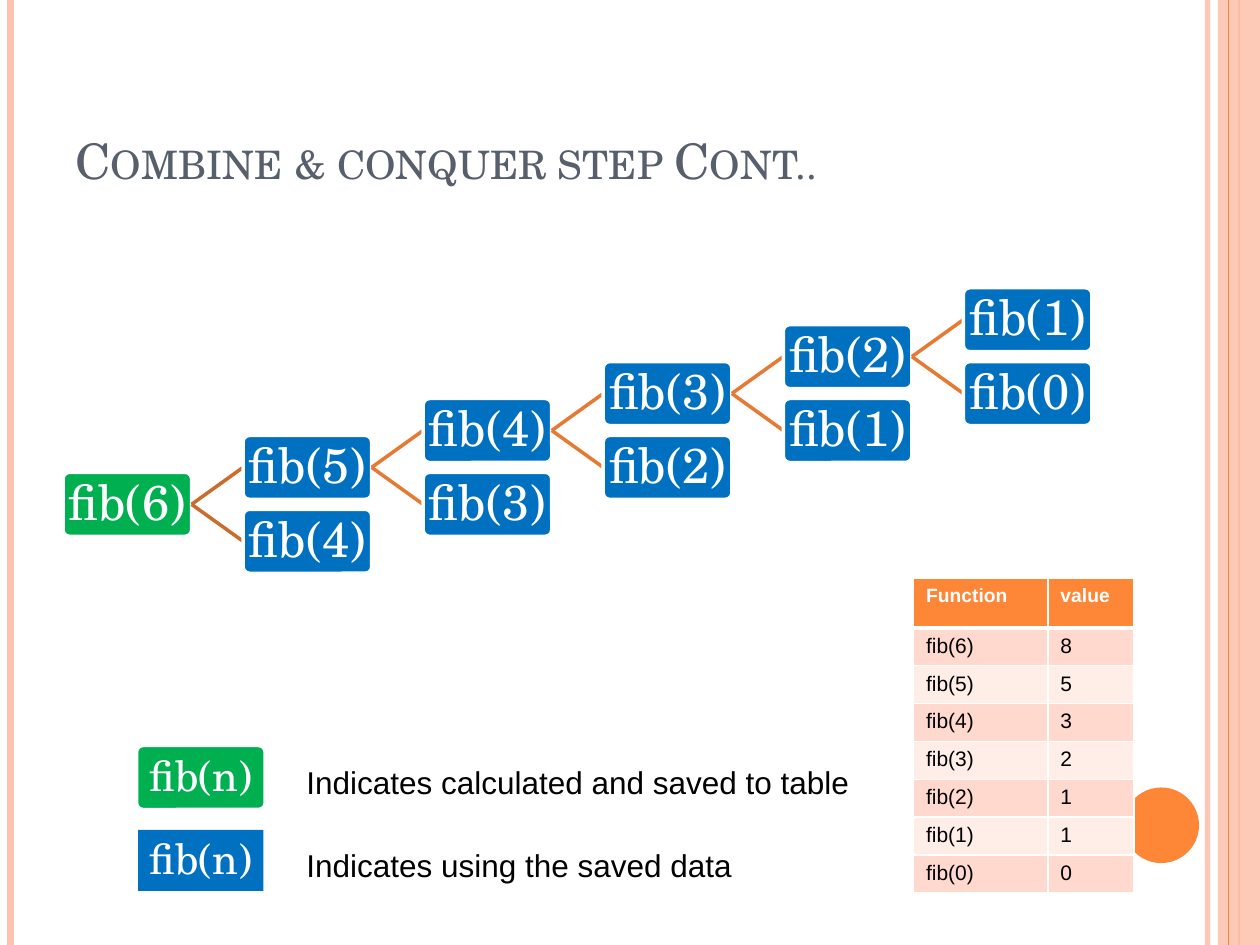
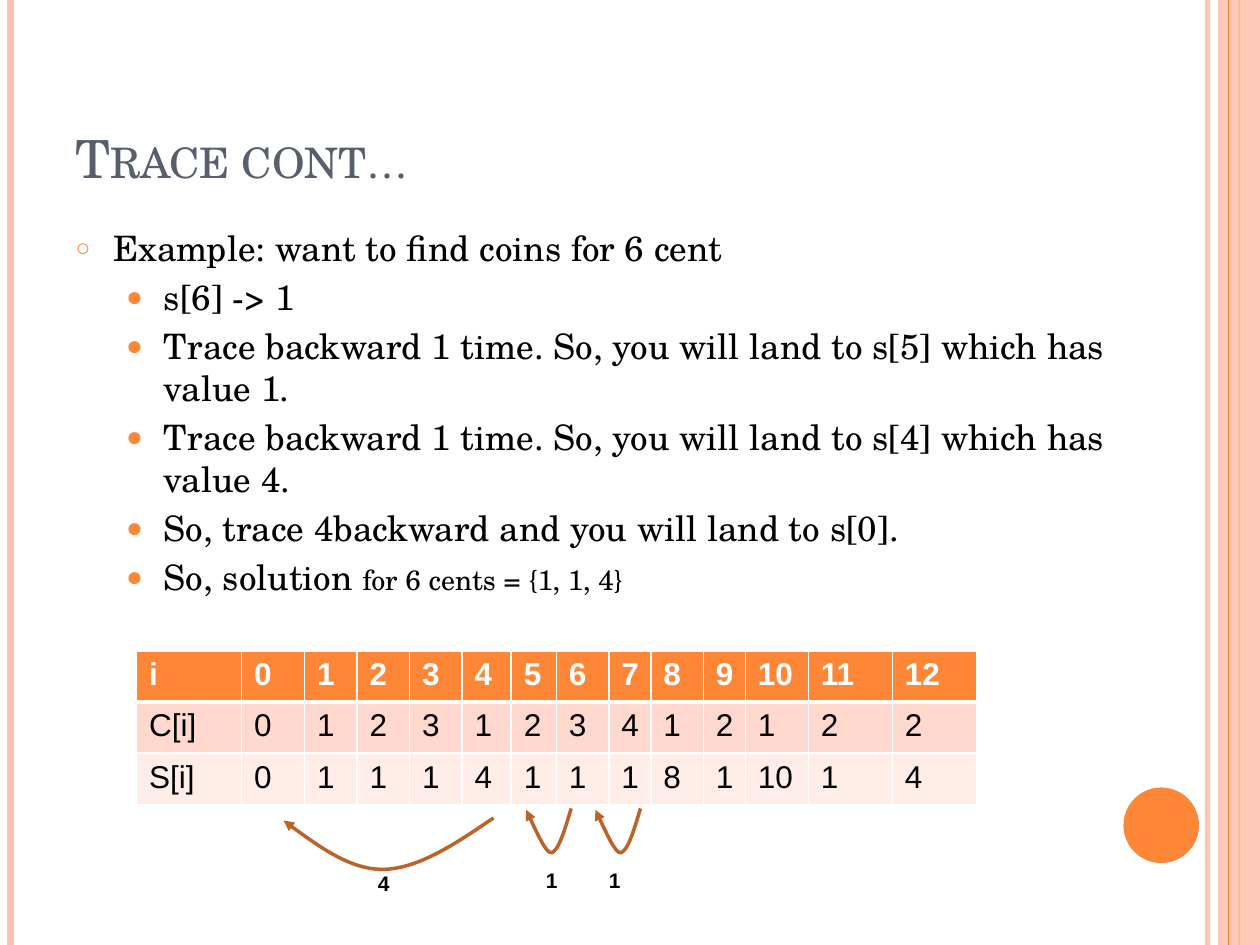
from dataclasses import dataclass

from pptx import Presentation
from pptx.dml.color import RGBColor
from pptx.enum.shapes import MSO_CONNECTOR as Line, MSO_SHAPE as Preset
from pptx.enum.text import MSO_ANCHOR as Anchor, MSO_AUTO_SIZE as AutoSize, PP_ALIGN as Align
from pptx.oxml import parse_xml
from pptx.oxml.ns import nsdecls, qn
from pptx.util import Inches, Pt

SERIF, SANS = "TeX Gyre Schola", "Arial"
WHITE = RGBColor(0xFF, 0xFF, 0xFF)
BLACK = RGBColor(0x00, 0x00, 0x00)
SLATE = RGBColor(0x57, 0x5F, 0x6D)
ORANGE = RGBColor(0xFE, 0x86, 0x37)
PEACH = RGBColor(0xFE, 0xC3, 0xAE)
ROW_DARK = RGBColor(0xFF, 0xD9, 0xCE)
ROW_LIGHT = RGBColor(0xFF, 0xED, 0xE8)
GREEN = RGBColor(0x00, 0xB0, 0x50)
BLUE = RGBColor(0x00, 0x70, 0xC0)
BRANCH_DARK = RGBColor(0xCB, 0x6B, 0x2C)
BRANCH = RGBColor(0xE7, 0x7A, 0x32)
ARC = RGBColor(0xBC, 0x63, 0x29)

# The slide is a grid of 120 columns by 90 rows, twelve to the inch
COLUMNS, ROWS, PER_INCH = 120, 90, 12


def cells(count):
    return Inches(count / PER_INCH)


@dataclass
class Box:
    """An area of the slide, in grid columns and rows."""
    left: float
    top: float
    width: float
    height: float

    def inner(self, left, top, width, height):
        return Box(self.left + left, self.top + top, width, height)

    @property
    def emu(self):
        return [cells(n) for n in (self.left, self.top, self.width, self.height)]


def xml(tag, attributes="", inner=""):
    return parse_xml(f"<a:{tag} {nsdecls('a')} {attributes}>{inner}</a:{tag}>")


def style(paragraph, size, font, color, bold=False):
    for run in paragraph.runs:
        run.font.size, run.font.name, run.font.bold = Pt(size), font, bold
        run.font.color.rgb = color


def set_opacity(shape, percent):
    for color in shape.element.iter(qn("a:srgbClr")):
        color.append(xml("alpha", f'val="{percent * 1000}"'))


def add_solid(slide, preset, box, color):
    solid = slide.shapes.add_shape(preset, *box.emu)
    solid.shadow.inherit = False
    solid.fill.solid()
    solid.fill.fore_color.rgb = color
    solid.line.fill.background()
    return solid


def add_line(slide, x1, y1, x2, y2, color, width):
    line = slide.shapes.add_connector(Line.STRAIGHT, *map(cells, (x1, y1, x2, y2)))
    line.line.color.rgb, line.line.width = color, Pt(width)
    line.element.spPr.append(xml("effectLst"))
    return line


def add_label(slide, box, text, size, bold=False, wrap=True):
    frame = slide.shapes.add_textbox(*box.emu).text_frame
    frame.word_wrap = wrap
    frame.text = text
    style(frame.paragraphs[0], size, SANS, BLACK, bold)


# ---- Shared parts ----

def add_frame(slide):
    """Side rules, right band and the corner disc."""
    def rule(column, color, width):
        return add_line(slide, column, 0, column, ROWS, color, width)

    set_opacity(rule(115, PEACH, 3), 93)
    rule(1, PEACH, 4.5)
    rule(118, ORANGE, 1.5)
    band = add_solid(slide, Preset.RECTANGLE, Box(116, 0, COLUMNS - 116, ROWS), PEACH)
    set_opacity(band, 87)
    rule(117, ORANGE, 0.75)
    add_solid(slide, Preset.OVAL, Box(107, 75, 7.2, 7.2), ORANGE)


def place(placeholder, box):
    placeholder.left, placeholder.top, placeholder.width, placeholder.height = box.emu
    frame = placeholder.text_frame
    frame.word_wrap, frame.auto_size = True, AutoSize.NONE
    return frame


def start_slide(deck, layout, title, size):
    slide = deck.slides.add_slide(deck.slide_layouts[layout])
    add_frame(slide)
    frame = place(slide.shapes.title, Box(6, 3.6, 98, 15))
    frame.vertical_anchor = Anchor.BOTTOM
    frame.text = title
    heading = frame.paragraphs[0]
    heading.alignment = Align.LEFT
    style(heading, size, SERIF, SLATE)
    heading.runs[0].font._element.set("cap", "small")
    return slide


def set_borders(cell, top, bottom):
    properties = cell._tc.get_or_add_tcPr()
    widths = {"lnL": 1, "lnR": 1, "lnT": top, "lnB": bottom}
    for index, (edge, width) in enumerate(widths.items()):
        paint = f'<a:solidFill><a:srgbClr val="{WHITE}"/></a:solidFill>'
        properties.insert(index, xml(edge, f'w="{Pt(width)}"', paint))


def add_data_table(slide, box, rows, widths, heights, head_size, size):
    """Orange header over rows in two alternating tints."""
    table = slide.shapes.add_table(len(rows), len(widths), *box.emu).table
    for column, width in zip(table.columns, widths):
        column.width = cells(width)
    for r, (values, height) in enumerate(zip(rows, heights)):
        table.rows[r].height = cells(height)
        head = r == 0
        for cell, value in zip(table.rows[r].cells, values):
            cell.text = str(value)
            cell.fill.solid()
            cell.fill.fore_color.rgb = ORANGE if head else ROW_DARK if r % 2 else ROW_LIGHT
            set_borders(cell, top=3 if r == 1 else 1, bottom=3 if head else 1)
            style(cell.text_frame.paragraphs[0], head_size if head else size,
                  SANS, WHITE if head else BLACK, head)


# ---- Slide 1: recursion tree ----

NODE_WIDTH, NODE_HEIGHT = 12.25, 6.1


def add_node(slide, box, text, color, size=28, preset=Preset.ROUNDED_RECTANGLE):
    node = add_solid(slide, preset, box, color)
    if preset == Preset.ROUNDED_RECTANGLE:
        node.adjustments[0] = 0.1
        node.line.color.rgb, node.line.width = WHITE, Pt(2)
    frame = node.text_frame
    frame.margin_left = frame.margin_right = frame.margin_top = frame.margin_bottom = 0
    frame.word_wrap = False
    frame.vertical_anchor = Anchor.MIDDLE
    frame.text = text
    call = frame.paragraphs[0]
    call.alignment, call.line_spacing = Align.CENTER, 0.9
    style(call, size, SERIF, WHITE)
    return node


def add_tree(slide, box, n):
    """fib(n) splits into fib(n-1), which splits on, and fib(n-2)."""
    levels = n - 1
    step_x = (box.width - NODE_WIDTH) / levels
    step_y = (box.height - NODE_HEIGHT) / (levels + 1)

    def node_box(level, row):
        return box.inner(level * step_x, row * step_y, NODE_WIDTH, NODE_HEIGHT)

    parent = add_node(slide, node_box(0, levels), f"fib({n})", GREEN)
    for level in range(1, levels + 1):
        row = levels - level
        children = []
        for child_row, argument in ((row, n - level), (row + 2, n - level - 1)):
            branch = add_line(slide, 0, 0, 1, 1, BRANCH_DARK if level == 1 else BRANCH, 2)
            child = add_node(slide, node_box(level, child_row), f"fib({argument})", BLUE)
            branch.begin_connect(parent, 3)
            branch.end_connect(child, 1)
            children.append(child)
        parent = children[0]


def add_legend(slide, box):
    entries = (
        ("Indicates calculated and saved to table", GREEN, Preset.ROUNDED_RECTANGLE, 0),
        ("Indicates using the saved data", BLUE, Preset.RECTANGLE, 0.15),
    )
    pitch = box.height - NODE_HEIGHT
    for i, (meaning, color, preset, inset) in enumerate(entries):
        key = box.inner(inset, i * pitch + inset, NODE_WIDTH - 2 * inset, NODE_HEIGHT - 2 * inset)
        add_node(slide, key, "fib(n)", color, 24, preset)
        text_box = box.inner(15, i * pitch + 1.1, box.width - 15, 4.8)
        add_label(slide, text_box, meaning, 18, wrap=False)


def build_tree_slide(deck):
    slide = start_slide(deck, 5, "Combine & conquer step Cont..", 28)
    add_tree(slide, Box(6, 27.4, 98, 27.2), 6)
    add_legend(slide, Box(13, 71, 69.6, 14))
    values = (8, 5, 3, 2, 1, 1, 0)
    rows = [("Function", "value")]
    rows += [(f"fib({6 - i})", value) for i, value in enumerate(values)]
    add_data_table(slide, Box(87, 55.1, 21, 29.9), rows, (12.8, 8.2),
                   [4.7] + [3.6] * len(values), 11, 12)


# ---- Slide 2: coin trace ----

STEPS = (
    "s[6] -> 1",
    "Trace backward 1 time. So, you will land to s[5] which has value 1.",
    "Trace backward 1 time. So, you will land to s[4] which has value 4.",
    "So, trace 4backward and you will land to s[0].",
    "So, solution ",
)


def set_bullet(paragraph, mark, percent, indent):
    properties = paragraph._p.get_or_add_pPr()
    properties.set("marL", str(Inches(indent)))
    properties.set("indent", str(Inches(-0.3)))
    properties.append(xml("buClr", inner=f'<a:srgbClr val="{ORANGE}"/>'))
    properties.append(xml("buSzPct", f'val="{percent * 1000}"'))
    properties.append(xml("buFont", f'typeface="{SANS}"'))
    properties.append(xml("buChar", f'char="{mark}"'))


def add_steps(slide, box):
    frame = place(slide.placeholders[1], box)
    frame.text = "\n".join(("Example: want to find coins for 6 cent",) + STEPS)
    for i, step in enumerate(frame.paragraphs):
        if i == 0:
            set_bullet(step, "○", 70, 0.3)
        else:
            step.level = 1
            set_bullet(step, "●", 80, 0.7)
        step.space_before = Pt(4 if i else 0)
        style(step, 20, SERIF, BLACK)
    answer = step.add_run()
    answer.text = "for 6 cents = {1, 1, 4}"
    answer.font.size, answer.font.name = Pt(16), SERIF
    answer.font.color.rgb = BLACK


def bezier(start, control1, control2, end, pieces=16):
    for t in (i / pieces for i in range(1, pieces + 1)):
        weights = ((1 - t) ** 3, 3 * t * (1 - t) ** 2, 3 * t * t * (1 - t), t ** 3)
        yield tuple(sum(w * p[axis] for w, p in zip(weights, (start, control1, control2, end)))
                    for axis in (0, 1))


def add_arc(slide, box, shares):
    """Curved arrow; its points are shares of the box's width and height."""
    points = [(box.left + x * box.width, box.top + y * box.height) for x, y in shares]
    track = points[:1]
    for i in range(0, len(points) - 1, 3):
        track += bezier(*points[i:i + 4])
    track = [(cells(x), cells(y)) for x, y in track]
    builder = slide.shapes.build_freeform(*track[0])
    builder.add_line_segments(track[1:], close=False)
    arc = builder.convert_to_shape()
    arc.shadow.inherit = False
    arc.fill.background()
    arc.line.color.rgb, arc.line.width = ARC, Pt(2)
    arc.line._get_or_add_ln().append(xml("tailEnd", 'type="triangle"'))


def add_trace(slide, box):
    """Backward jumps under the table, each with its coin."""
    wide = ((1, 0), (0.82, 0.5), (0.64, 1), (0.47, 1), (0.31, 1), (0.16, 0.53), (0, 0.05))
    hook = ((1, 0), (0.86, 0.47), (0.72, 0.95), (0.56, 0.98), (0.42, 1), (0.14, 0.3), (0, 0.03))
    add_arc(slide, box.inner(0, 0.9, 20, 4.9), wide)
    add_label(slide, box.inner(7.8, 5.3, 4.2, 3.6), "4", 12, True)
    for hook_left, coin_left in ((23.1, 23.8), (29.7, 29.8)):
        add_arc(slide, box.inner(hook_left, 0, 4.3, 4.3), hook)
        add_label(slide, box.inner(coin_left, 5, 4.2, 3.6), "1", 12, True)


def build_trace_slide(deck):
    slide = start_slide(deck, 1, "Trace cont…", 30)
    add_steps(slide, Box(6, 21, 101, 64))
    rows = (
        ("i", *range(13)),
        ("C[i]", 0, 1, 2, 3, 1, 2, 3, 4, 1, 2, 1, 2, 2),
        ("S[i]", 0, 1, 1, 1, 4, 1, 1, 1, 8, 1, 10, 1, 4),
    )
    widths = (10, 6, 5, 5, 5, 4.7, 4.3, 5, 4, 5, 4, 6, 8, 8)
    add_data_table(slide, Box(13, 62, 80, 14.6), rows, widths, [4.87] * len(rows), 18, 18)
    add_trace(slide, Box(27, 77, 34, 9))


def main():
    deck = Presentation()
    deck.slide_width, deck.slide_height = cells(COLUMNS), cells(ROWS)
    build_tree_slide(deck)
    build_trace_slide(deck)
    deck.save("out.pptx")


if __name__ == "__main__":
    main()
